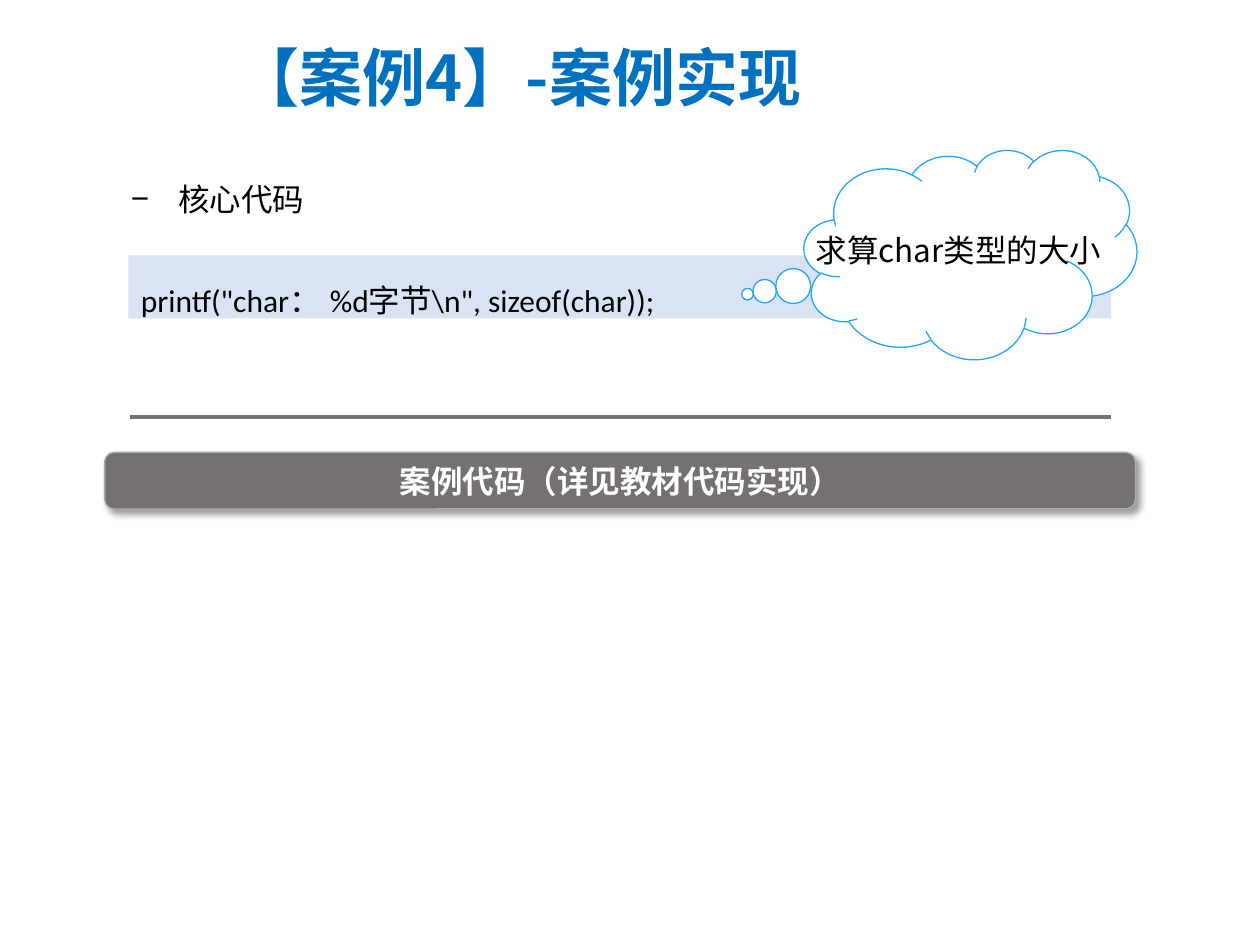
from lxml.etree import SubElement
from pptx import Presentation
from pptx.dml.color import RGBColor
from pptx.enum.shapes import MSO_CONNECTOR, MSO_SHAPE
from pptx.enum.text import MSO_ANCHOR, PP_ALIGN
from pptx.oxml.ns import qn
from pptx.util import Cm, Pt

COLORS = {
    "title": "0070C0",
    "text": "000000",
    "white": "FFFFFF",
    "gray": "767171",
    "gray_edge": "AFABAB",
    "code": "DAE3F3",
    "cloud_edge": "21A5FF",
}
CHINESE_FONT = "Noto Sans CJK SC"


def color(name):
    return RGBColor.from_string(COLORS[name])


def apply_format(target, values):
    for name, value in values.items():
        setattr(target, name, value)


def write_text(shape, text, color_name, font, frame=None, paragraph_format=None):
    text_frame = shape.text_frame
    apply_format(text_frame, {"word_wrap": True, "vertical_anchor": MSO_ANCHOR.MIDDLE, **(frame or {})})
    paragraph = text_frame.paragraphs[0]
    apply_format(paragraph, {"alignment": PP_ALIGN.LEFT, **(paragraph_format or {})})
    run = paragraph.add_run()
    run.text = text
    apply_format(run.font, {"size": Pt(18), "bold": False, **font})
    run.font.color.rgb = color(color_name)
    SubElement(run.font._element, qn("a:ea"), typeface=CHINESE_FONT)
    return paragraph


def add_text_box(slide, box, *text_arguments):
    shape = slide.shapes.add_textbox(*map(Cm, box))
    return write_text(shape, *text_arguments)


def add_panel(slide, kind, box, fill, edge=None):
    shape = slide.shapes.add_shape(kind, *map(Cm, box))
    shape.shadow.inherit = False
    shape.fill.solid()
    shape.fill.fore_color.rgb = color(fill)
    if edge:
        shape.line.color.rgb = color(edge)
        shape.line.width = Pt(0.75)
    else:
        shape.line.fill.background()
    return shape


def add_shadow(shape):
    effects = shape._element.spPr.find(qn("a:effectLst"))
    shadow = SubElement(effects, qn("a:outerShdw"), blurRad=str(Pt(4)), dist=str(Pt(3)),
                        dir="2700000", algn="tl", rotWithShape="0")
    shade = SubElement(shadow, qn("a:srgbClr"), val=COLORS["text"])
    SubElement(shade, qn("a:alpha"), val="40000")


def add_bullet(paragraph, character, indent):
    properties = paragraph._p.get_or_add_pPr()
    properties.set("marL", str(indent))
    properties.set("indent", str(-indent))
    SubElement(properties, qn("a:buFont"), typeface="Arial")
    SubElement(properties, qn("a:buChar"), char=character)


def add_rule(slide, left, right, top):
    line = slide.shapes.add_connector(MSO_CONNECTOR.STRAIGHT, Cm(left), Cm(top), Cm(right), Cm(top))
    line.line.color.rgb = color("gray")
    line.line.width = Pt(2.25)
    SubElement(line._element.spPr, qn("a:effectLst"))


def main():
    presentation = Presentation()
    apply_format(presentation, {"slide_width": Cm(25.4), "slide_height": Cm(19.05)})
    slide = presentation.slides.add_slide(presentation.slide_layouts[6])
    top_anchor = {"vertical_anchor": MSO_ANCHOR.TOP}
    centered = {"alignment": PP_ALIGN.CENTER}
    spaced = {"line_spacing": 1.5}

    add_text_box(slide, (4.52, 0.48, 14.3, 2.13), "【案例4】-案例实现", "title",
                 {"name": CHINESE_FONT, "size": Pt(36), "bold": True},
                 None, {"alignment": PP_ALIGN.LEFT})

    banner = add_panel(slide, MSO_SHAPE.ROUNDED_RECTANGLE, (2.11, 9.12, 20.78, 1.14), "gray", "gray_edge")
    add_shadow(banner)
    write_text(banner, "案例代码（详见教材代码实现）", "white", {"name": "Calibri", "bold": True}, None, centered)

    code = add_panel(slide, MSO_SHAPE.RECTANGLE, (2.59, 5.15, 19.81, 1.27), "code")
    write_text(code, 'printf("char：\t%d字节\\n", sizeof(char));', "text", {"name": "Calibri"}, top_anchor, spaced)

    heading = add_text_box(slide, (2.39, 3.12, 21.62, 1.22), "核心代码", "text",
                           {"name": "Arial"}, top_anchor, spaced)
    add_bullet(heading, "−", Cm(0.95))

    add_rule(slide, 2.62, 22.4, 8.41)

    cloud = add_panel(slide, MSO_SHAPE.CLOUD_CALLOUT, (16.21, 3.02, 6.71, 4.22), "white", "cloud_edge")
    cloud.adjustments[0] = -0.67
    cloud.adjustments[1] = 0.19
    write_text(cloud, "求算char类型的大小", "text", {"name": "Noto Sans CJK KR"}, {"word_wrap": False}, centered)

    presentation.save("out.pptx")


if __name__ == "__main__":
    main()
